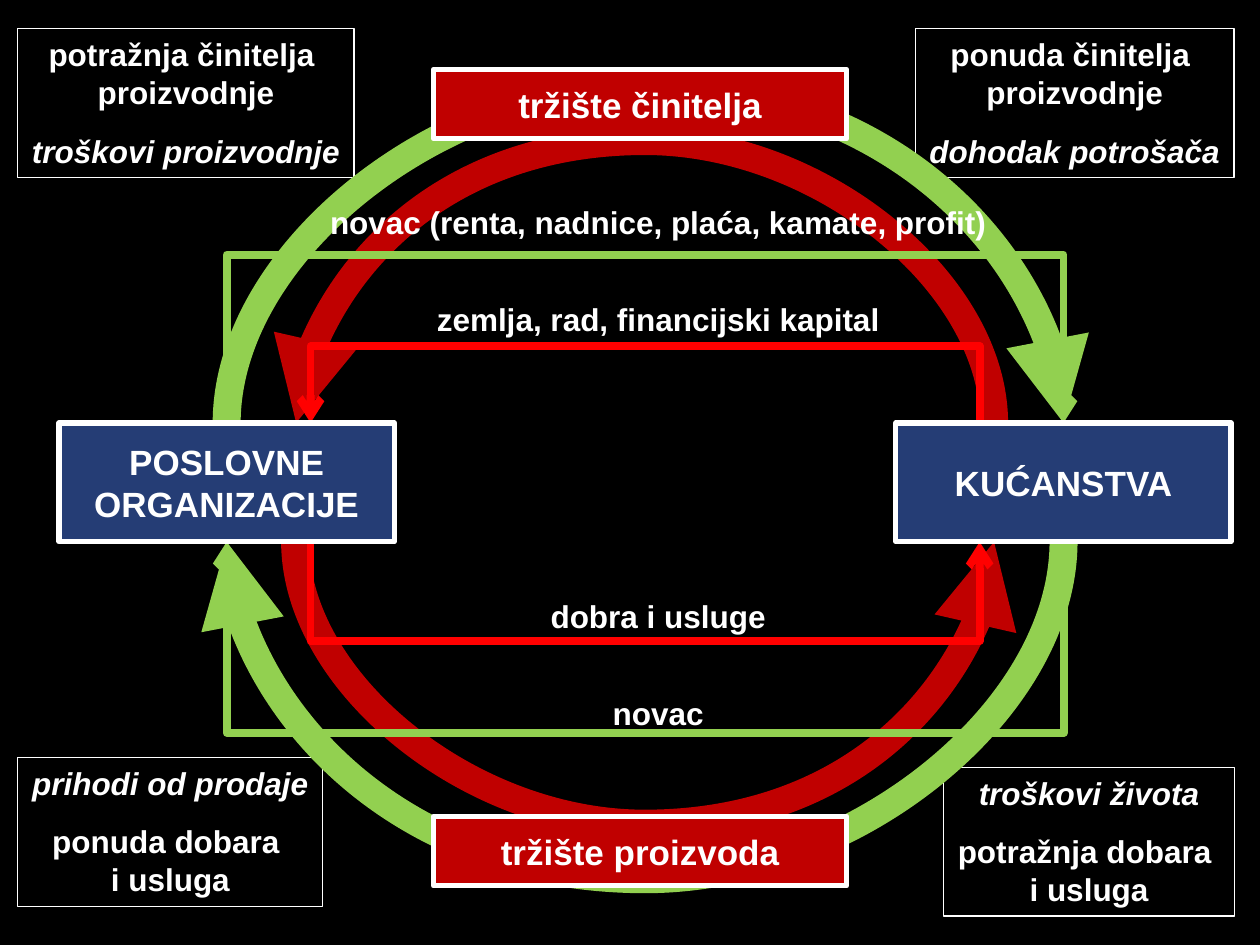
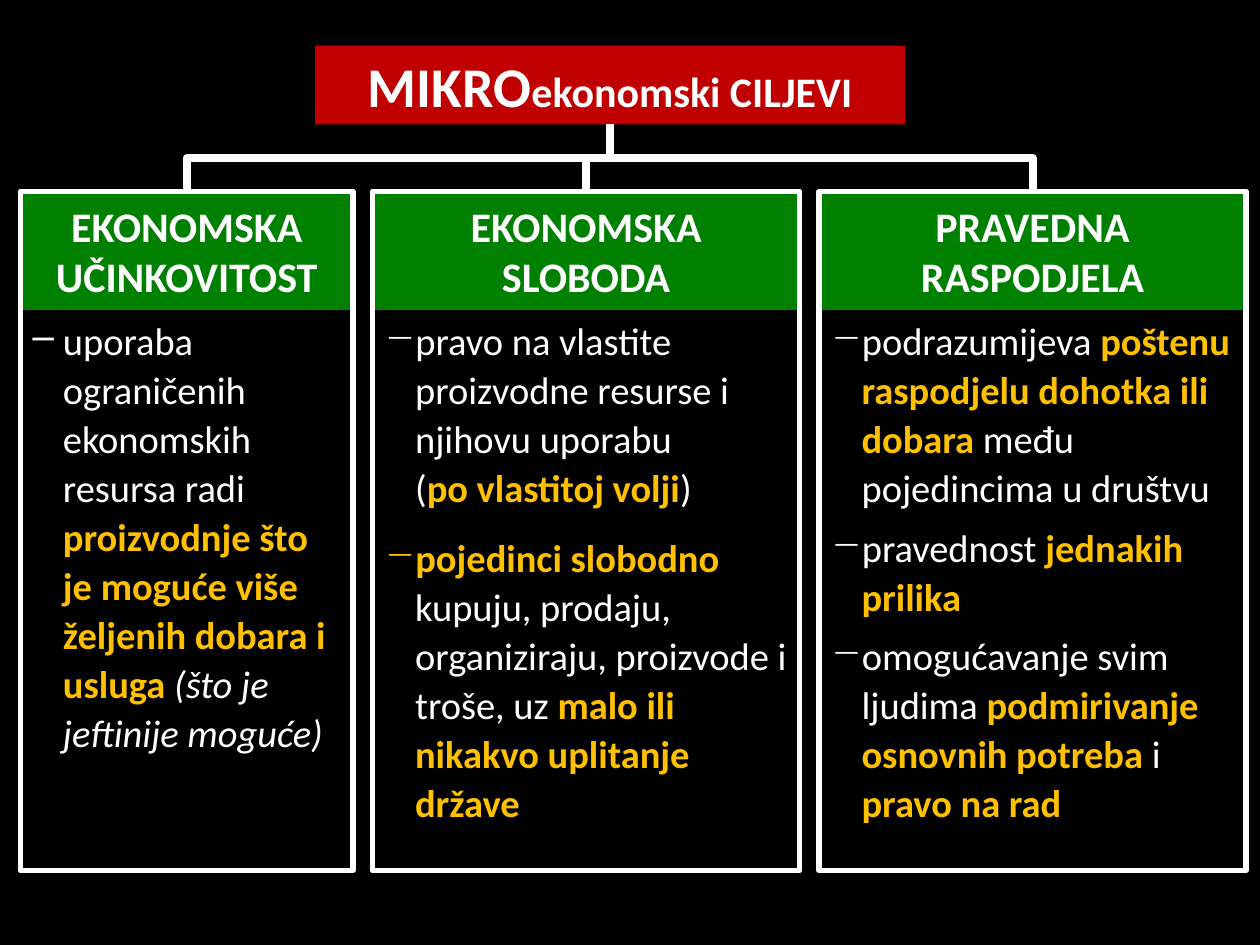
import pptx
import pptx.util
import pptx.dml.color
import pptx.enum.shapes
import pptx.enum.text
import pptx.oxml.ns
from lxml import etree

Cm, Pt = pptx.util.Cm, pptx.util.Pt
RGBColor = pptx.dml.color.RGBColor
CONNECTOR = pptx.enum.shapes.MSO_CONNECTOR
ANCHOR = pptx.enum.text.MSO_ANCHOR
CENTER = pptx.enum.text.PP_ALIGN.CENTER
qn = pptx.oxml.ns.qn

BLACK = RGBColor(0x00, 0x00, 0x00)
WHITE = RGBColor(0xFF, 0xFF, 0xFF)
DARK_RED = RGBColor(0xC0, 0x00, 0x00)
RED = RGBColor(0xFF, 0x00, 0x00)
LIME = RGBColor(0x92, 0xD0, 0x50)
GREEN = RGBColor(0x00, 0x80, 0x00)
NAVY = RGBColor(0x25, 0x3D, 0x75)
AMBER = RGBColor(0xFF, 0xC0, 0x00)

BLANK_LAYOUT, TITLE_ONLY_LAYOUT = 6, 5


def add_slide(deck, layout):
    slide = deck.slides.add_slide(deck.slide_layouts[layout])
    slide.background.fill.solid()
    slide.background.fill.fore_color.rgb = BLACK
    return slide


def write(paragraph, text, font, size, color=WHITE, bold=False, italic=False):
    """Add text as runs of one style, with a line break at each newline."""
    for i, line in enumerate(text.split("\n")):
        if i:
            paragraph.add_line_break()
        run = paragraph.add_run()
        run.text = line
        run.font.name, run.font.size = font, Pt(size)
        run.font.bold, run.font.italic = bold, italic
        run.font.color.rgb = color


def add_box(slide, box, fill=None, line_width=None):
    """Add a rectangle, box being left, top, width and height in cm."""
    rectangle = slide.shapes.add_shape(
        pptx.enum.shapes.MSO_SHAPE.RECTANGLE, *map(Cm, box))
    rectangle.shadow.inherit = False
    if fill is None:
        rectangle.fill.background()
    else:
        rectangle.fill.solid()
        rectangle.fill.fore_color.rgb = fill
    if line_width is None:
        rectangle.line.fill.background()
    else:
        rectangle.line.color.rgb = WHITE
        rectangle.line.width = Pt(line_width)
    return rectangle


def add_caption_box(slide, box, text, fill, font, size, line_width=None):
    paragraph = add_box(slide, box, fill, line_width).text_frame.paragraphs[0]
    paragraph.alignment = CENTER
    write(paragraph, text, font, size, bold=True)


def add_flow(slide, kind, start, end, bend_y, color, width, arrow=None):
    """Connect start to end by leaving vertically and crossing at bend_y."""
    (x1, y1), (x2, y2) = start, end
    # The preset runs sideways, so it is turned a quarter; its depth is never 0.
    depth, span = max(abs(y2 - y1), 0.01), abs(x2 - x1)
    left, top = (x1 + x2 - depth) / 2, (y1 + y2 - span) / 2
    connector = slide.shapes.add_connector(
        kind, Cm(left), Cm(top), Cm(left + depth), Cm(top + span))
    rightward, upward = x2 > x1, bend_y < y1
    properties = connector._element.spPr
    frame = properties.find(qn("a:xfrm"))
    frame.set("rot", str((90 if rightward == upward else 270) * 60000))
    frame.set("flipH", str(int(rightward)))
    frame.set("flipV", str(int(upward)))
    guides = properties.find(qn("a:prstGeom")).get_or_add_avLst()
    reach = round(abs(bend_y - y1) / depth * 100000)
    etree.SubElement(guides, qn("a:gd"), name="adj1", fmla=f"val {reach}")
    connector.line.color.rgb = color
    connector.line.width = Pt(width)
    line = properties.find(qn("a:ln"))
    etree.SubElement(line, qn("a:round"))
    if arrow:
        etree.SubElement(line, qn("a:tailEnd"), type=arrow)
    etree.SubElement(properties, qn("a:effectLst"))


def add_note(slide, box, lines):
    """Add a framed corner note; lines are pairs of text and italic."""
    frame = add_box(slide, box, line_width=0.75).text_frame
    frame.word_wrap = False
    frame.vertical_anchor = ANCHOR.TOP
    for i, (text, italic) in enumerate(lines):
        paragraph = frame.add_paragraph() if i else frame.paragraphs[0]
        paragraph.alignment = CENTER
        if i:
            paragraph.space_before = Pt(12)
        write(paragraph, text, "Arial", 18, bold=True, italic=italic)


def add_flow_label(slide, center, top, width, text):
    label = slide.shapes.add_textbox(
        Cm(center - width / 2), Cm(top), Cm(width), Cm(1.02))
    label.text_frame.word_wrap = False
    paragraph = label.text_frame.paragraphs[0]
    paragraph.alignment = CENTER
    write(paragraph, text, "Arial", 18, bold=True)


def build_circular_flow(deck):
    slide = add_slide(deck, BLANK_LAYOUT)
    firms = (1.19, 8.53, 6.76, 2.39)
    households = (18.06, 8.53, 6.76, 2.39)
    top, bottom = firms[1], firms[1] + firms[3]
    firms_x, households_x = firms[0] + firms[2] / 2, households[0] + households[2] / 2
    inner_firms_x = firms[0] + firms[2] * 0.75
    inner_households_x = households[0] + households[2] * 0.25

    goods_curves = [
        ((20.04, top), (5.97, top), 2.84, DARK_RED),
        ((5.95, bottom), (20.04, bottom), 16.61, DARK_RED),
    ]
    money_curves = [
        ((firms_x, top), (households_x, top), 1.73, LIME),
        ((households_x, bottom), (firms_x, bottom), 17.73, LIME),
    ]
    bent_flows = [
        ((households_x, bottom), (firms_x, bottom), 14.78, LIME),
        ((inner_firms_x, bottom), (inner_households_x, bottom), 12.93, RED),
        ((inner_households_x, top), (inner_firms_x, top), 6.98, RED),
        ((firms_x, top), (households_x, top), 5.13, LIME),
    ]
    notes = [
        ((19.02, 15.47, 5.87, 3), [("troškovi života", True),
                                   ("potražnja dobara \ni usluga", False)]),
        ((0.36, 15.27, 6.15, 3), [("prihodi od prodaje", True),
                                  ("ponuda dobara \ni usluga", False)]),
        ((0.36, 0.58, 6.78, 3), [("potražnja činitelja \nproizvodnje", False),
                                 ("troškovi proizvodnje", True)]),
        ((18.45, 0.58, 6.43, 3), [("ponuda činitelja \nproizvodnje", False),
                                  ("dohodak potrošača", True)]),
    ]
    labels = [
        (13.87, 2.36, "novac"),
        (11.91, 4.9, "dobra i usluge"),
        (5.92, 9.53, "zemlja, rad, financijski kapital"),
        (3.96, 13.87, "novac (renta, nadnice, plaća, kamate, profit)"),
    ]

    for curve in goods_curves:
        add_flow(slide, CONNECTOR.CURVE, *curve, 16, "triangle")
    for box, lines in notes:
        add_note(slide, box, lines)
    for curve in money_curves:
        add_flow(slide, CONNECTOR.CURVE, *curve, 16, "triangle")
    for market_top, market in ((1.4, "tržište činitelja"), (16.46, "tržište proizvoda")):
        add_caption_box(slide, (8.74, market_top, 8.33, 1.4), market,
                        DARK_RED, "Arial", 20, 3)
    for flow in bent_flows:
        add_flow(slide, CONNECTOR.ELBOW, *flow, 4.5, "arrow")
    for label_top, width, text in labels:
        add_flow_label(slide, 13.27, label_top, width, text)
    add_caption_box(slide, households, "KUĆANSTVA", NAVY, "Arial", 20, 3)
    add_caption_box(slide, firms, "POSLOVNE ORGANIZACIJE", NAVY, "Arial", 20, 3)


def add_goal(slide, box, heading, points):
    """Add a goal column; a point is bullet, space before and (text, key, italic) runs."""
    left, top, width, _ = box
    add_caption_box(slide, (left, top, width, 2.39), heading, GREEN, "Calibri", 24)
    frame = add_box(slide, box, line_width=3).text_frame
    frame.vertical_anchor = ANCHOR.TOP
    frame.margin_top = Cm(2.48)
    for i, (bullet, space_before, runs) in enumerate(points):
        paragraph = frame.add_paragraph() if i else frame.paragraphs[0]
        paragraph.alignment = pptx.enum.text.PP_ALIGN.LEFT
        indents = paragraph._p.get_or_add_pPr()
        indents.set("marL", str(Cm(0.61)))
        indents.set("indent", str(-Cm(0.61)))
        etree.SubElement(indents, qn("a:buChar"), char=bullet)
        paragraph.line_spacing = Pt(28)
        if i:
            paragraph.space_before = Pt(space_before)
        for text, key, italic in runs:
            write(paragraph, text, "Calibri", 22, AMBER if key else WHITE, key, italic)


def plain(text, italic=False):
    return text, False, italic


def key(text):
    return text, True, False


GOALS = [
    (6.71, "EKONOMSKA UČINKOVITOST", [
        ("–", 0, [plain("uporaba ograničenih ekonomskih resursa radi "),
                  key("proizvodnje što je moguće više željenih dobara i usluga "),
                  plain("(što je jeftinije moguće)", italic=True)]),
    ]),
    (8.61, "EKONOMSKA SLOBODA", [
        ("−", 0, [plain("pravo na vlastite proizvodne resurse i njihovu uporabu \n("),
                  key("po vlastitoj volji"), plain(")")]),
        ("−", 12, [key("pojedinci slobodno "),
                   plain("kupuju, prodaju, organiziraju, proizvode i troše, uz "),
                   key("malo ili nikakvo uplitanje države")]),
    ]),
    (8.61, "PRAVEDNA RASPODJELA", [
        ("−", 0, [plain("podrazumijeva "),
                  key("poštenu raspodjelu dohotka ili dobara "),
                  plain("među pojedincima u društvu")]),
        ("−", 6, [plain("pravednost "), key("jednakih prilika")]),
        ("−", 6, [plain("omogućavanje svim ljudima "),
                  key("podmirivanje osnovnih potreba "),
                  plain("i "), key("pravo na rad")]),
    ]),
]


def add_goals_title(slide, box):
    title = slide.shapes.title
    title.left, title.top, title.width, title.height = map(Cm, box)
    title.fill.solid()
    title.fill.fore_color.rgb = DARK_RED
    frame = title.text_frame
    frame.auto_size = pptx.enum.text.MSO_AUTO_SIZE.NONE
    frame.vertical_anchor = ANCHOR.MIDDLE
    frame.paragraphs[0].alignment = CENTER
    write(frame.paragraphs[0], "MIKRO", "Calibri", 32, bold=True)
    write(frame.paragraphs[0], "ekonomski CILJEVI", "Calibri", 24, bold=True)


def build_goals(deck):
    slide = add_slide(deck, TITLE_ONLY_LAYOUT)
    title_box = (6.35, 0.92, 11.9, 1.59)
    add_goals_title(slide, title_box)
    trunk = (title_box[0] + title_box[2] / 2, title_box[1] + title_box[3])
    left, top, gap = 0.41, 3.86, 0.39
    for width, heading, points in GOALS:
        add_goal(slide, (left, top, width, 13.69), heading, points)
        add_flow(slide, CONNECTOR.ELBOW, trunk, (left + width / 2, top),
                 (trunk[1] + top) / 2, WHITE, 4.5)
        left += width + gap


def main():
    deck = pptx.Presentation()
    deck.slide_width, deck.slide_height = Cm(25.4), Cm(19.05)
    build_circular_flow(deck)
    build_goals(deck)
    deck.save("out.pptx")


if __name__ == "__main__":
    main()
